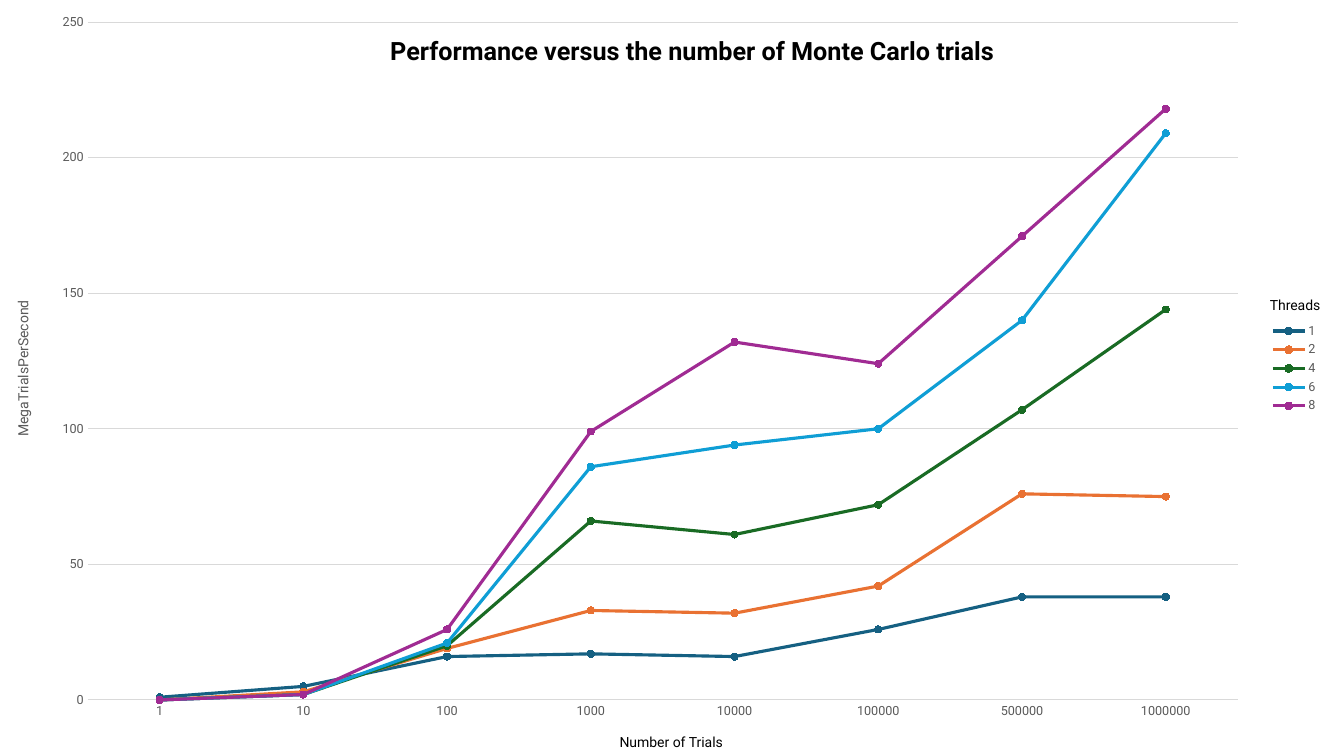
"""Build a slide charting Monte Carlo throughput by trial count and thread count."""
from dataclasses import dataclass

from lxml.etree import SubElement
from pptx import Presentation
from pptx.chart.axis import _BaseAxis as Axis
from pptx.chart.data import CategoryChartData
from pptx.dml.color import RGBColor
from pptx.enum.chart import XL_CHART_TYPE as ChartType
from pptx.enum.chart import XL_LEGEND_POSITION as LegendPosition
from pptx.enum.chart import XL_MARKER_STYLE as MarkerStyle
from pptx.enum.chart import XL_TICK_MARK as TickMark
from pptx.enum.text import MSO_ANCHOR as Anchor
from pptx.enum.text import PP_ALIGN as Align
from pptx.oxml.ns import qn
from pptx.shapes.autoshape import Shape
from pptx.slide import Slide
from pptx.text.text import Font
from pptx.util import Cm, Pt

FONT_NAME = "Roboto"
BLACK = RGBColor(0x00, 0x00, 0x00)
GRAY = RGBColor(0x59, 0x59, 0x59)
GRID_GRAY = RGBColor(0xD9, 0xD9, 0xD9)
BLUE = RGBColor(0x15, 0x60, 0x82)
ORANGE = RGBColor(0xE9, 0x71, 0x32)
GREEN = RGBColor(0x19, 0x6B, 0x24)
SKY = RGBColor(0x0F, 0x9E, 0xD5)
PURPLE = RGBColor(0xA0, 0x2B, 0x93)

TRIALS = ("1", "10", "100", "1000", "10000", "100000", "500000", "1000000")
PLOT_AREA = {"x": 0.04, "y": 0.03, "w": 0.89, "h": 0.92}


@dataclass(frozen=True)
class ThreadSeries:
    threads: str
    color: RGBColor
    speeds: tuple[int, ...]


@dataclass(frozen=True)
class Label:
    text: str
    left: float
    top: float
    width: float
    height: float = 0.69
    size: int = 10
    color: RGBColor = BLACK
    bold: bool = False
    align: Align = Align.CENTER
    rotation: int = 0
    wrap: bool = True


THREAD_SERIES = (
    ThreadSeries("1", BLUE, (1, 5, 16, 17, 16, 26, 38, 38)),
    ThreadSeries("2", ORANGE, (0, 3, 19, 33, 32, 42, 76, 75)),
    ThreadSeries("4", GREEN, (0, 2, 20, 66, 61, 72, 107, 144)),
    ThreadSeries("6", SKY, (0, 2, 21, 86, 94, 100, 140, 209)),
    ThreadSeries("8", PURPLE, (0, 2, 26, 99, 132, 124, 171, 218)),
)
TITLE = Label("Performance versus the number of Monte Carlo trials", 9.58, 0.76, 15.82,
              height=1.02, size=18, bold=True, align=Align.LEFT, wrap=False)
LABELS = (
    Label("Number of Trials", 12.29, 18.36, 9.25),
    Label("Threads", 31.75, 7.34, 2.41, align=Align.LEFT),
    Label("MegaTrialsPerSecond", -1.63, 8.94, 4.42, color=GRAY, rotation=270),
)


def format_font(font: Font, size: int, color: RGBColor, bold: bool = False) -> None:
    font.name = FONT_NAME
    font.size = Pt(size)
    font.bold = bold
    font.color.rgb = color


def fill_label(shape: Shape, label: Label) -> None:
    shape.left, shape.top = Cm(label.left), Cm(label.top)
    shape.width, shape.height = Cm(label.width), Cm(label.height)
    shape.rotation = label.rotation
    frame = shape.text_frame
    frame.word_wrap = label.wrap
    frame.vertical_anchor = Anchor.TOP
    paragraph = frame.paragraphs[0]
    paragraph.alignment = label.align
    paragraph.line_spacing = 1.0
    paragraph.space_before = Pt(0)
    run = paragraph.add_run()
    run.text = label.text
    format_font(run.font, label.size, label.color, label.bold)


def format_axis(axis: Axis) -> None:
    axis.major_tick_mark = axis.minor_tick_mark = TickMark.NONE
    format_font(axis.tick_labels.font, 9, GRAY)


def add_speed_chart(slide: Slide) -> None:
    data = CategoryChartData()
    data.categories = TRIALS
    for entry in THREAD_SERIES:
        data.add_series(entry.threads, entry.speeds)
    chart = slide.shapes.add_chart(
        ChartType.LINE_MARKERS, Cm(0.91), Cm(0), Cm(32.56), Cm(18.57), data).chart
    chart.has_title = False
    format_font(chart.font, 10, BLACK)

    chart.has_legend = True
    chart.legend.position = LegendPosition.RIGHT
    chart.legend.include_in_layout = False
    format_font(chart.legend.font, 9, GRAY)

    format_axis(chart.category_axis)
    format_axis(chart.value_axis)
    chart.value_axis.minimum_scale = 0
    chart.value_axis.maximum_scale = 250
    chart.value_axis.major_unit = 50
    chart.value_axis.format.line.fill.background()
    for line in (chart.category_axis.format.line,
                 chart.value_axis.major_gridlines.format.line):
        line.color.rgb = GRID_GRAY
        line.width = Pt(0.75)

    for series, entry in zip(chart.plots[0].series, THREAD_SERIES):
        series.smooth = False
        series.format.line.color.rgb = entry.color
        series.format.line.width = Pt(2.25)
        series.marker.style = MarkerStyle.CIRCLE
        series.marker.size = 5
        series.marker.format.fill.solid()
        series.marker.format.fill.fore_color.rgb = entry.color
        series.marker.format.line.color.rgb = entry.color

    plot_area = chart.element.find(".//" + qn("c:plotArea"))
    layout = plot_area.find(qn("c:layout"))
    if layout is None:
        layout = SubElement(plot_area, qn("c:layout"))
        plot_area.insert(0, layout)
    manual = SubElement(layout, qn("c:manualLayout"))
    settings = {"layoutTarget": "inner", "xMode": "edge", "yMode": "edge", **PLOT_AREA}
    for name, value in settings.items():
        SubElement(manual, qn(f"c:{name}")).set("val", str(value))


def main() -> None:
    presentation = Presentation()
    presentation.slide_width, presentation.slide_height = Cm(33.87), Cm(19.05)
    slide = presentation.slides.add_slide(presentation.slide_layouts[5])
    add_speed_chart(slide)
    for label in LABELS:
        fill_label(slide.shapes.add_textbox(0, 0, 0, 0), label)
    title = slide.shapes.title
    fill_label(title, TITLE)
    title.element.getparent().append(title.element)
    presentation.save("out.pptx")


if __name__ == "__main__":
    main()
